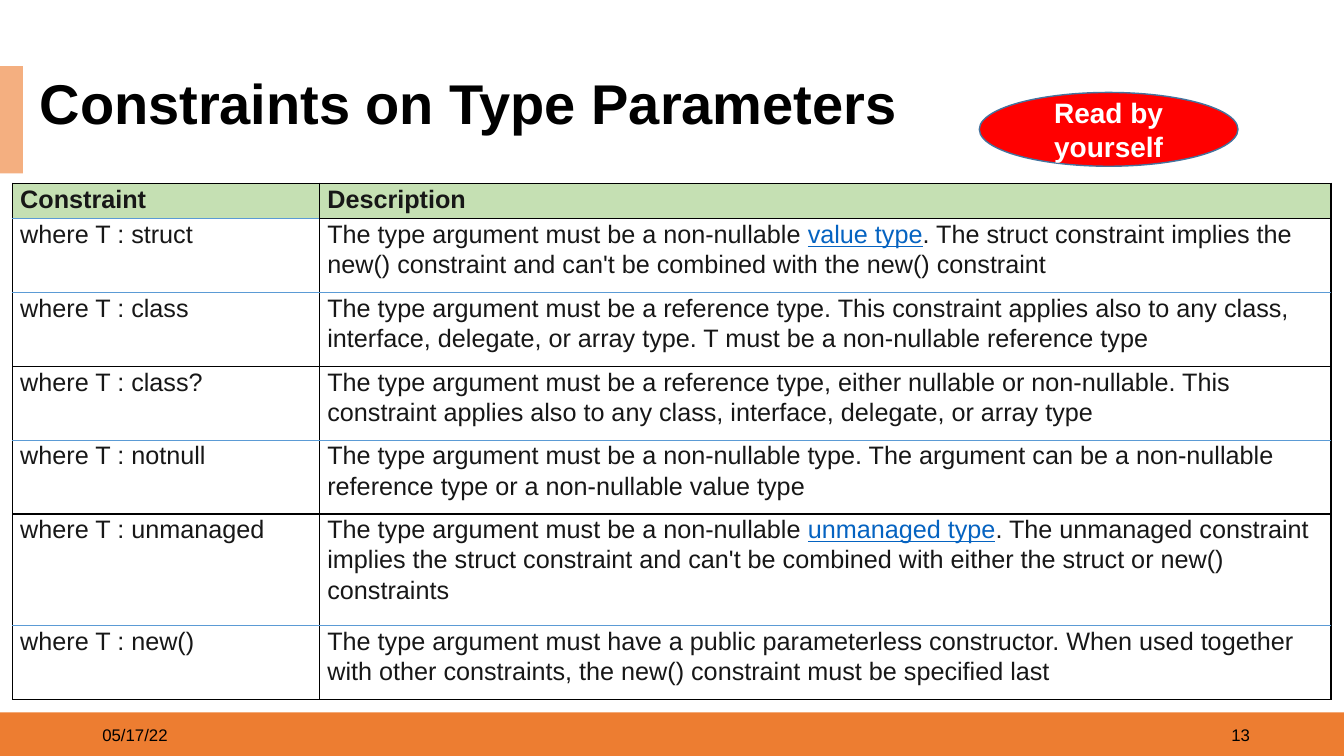
from lxml.etree import SubElement
from pptx import Presentation
from pptx.dml.color import RGBColor
from pptx.enum.shapes import MSO_SHAPE
from pptx.enum.text import MSO_ANCHOR, PP_ALIGN
from pptx.oxml.ns import qn
from pptx.util import Cm, Pt

# Content: a description is a list of pieces, every second one a link
TITLE = "Constraints on Type Parameters"
BADGE = "Read by yourself"
DATE, PAGE_NUMBER = "05/17/22", "13"
ROWS = [
    ("Constraint", ["Description"]),
    ("where T : struct", [
        "The type argument must be a non-nullable ", "value type",
        ". The struct constraint implies the new() constraint and can't be "
        "combined with the new() constraint"]),
    ("where T : class", [
        "The type argument must be a reference type. This constraint applies also to any "
        "class, interface, delegate, or array type. T must be a non-nullable reference type"]),
    ("where T : class?", [
        "The type argument must be a reference type, either nullable or non-nullable. This "
        "constraint applies also to any class, interface, delegate, or array type"]),
    ("where T : notnull", [
        "The type argument must be a non-nullable type. The argument can be a non-nullable "
        "reference type or a non-nullable value type"]),
    ("where T : unmanaged", [
        "The type argument must be a non-nullable ", "unmanaged type",
        ". The unmanaged constraint implies the struct constraint and can't be combined "
        "with either the struct or new() constraints"]),
    ("where T : new()", [
        "The type argument must have a public parameterless constructor. When used together "
        "with other constraints, the new() constraint must be specified last"]),
]
COLUMN_WIDTHS = (7.74, 25.48)
HEADER_HEIGHT, ROW_HEIGHT, TALL_HEIGHT = 0.89, 1.86, 2.81
TALL_ROW = 5

COLORS = {
    "bar": "ED7D31", "accent": "F4AF80", "badge": "FF0000", "badge line": "43739E",
    "header": "C5E0B3", "white": "FFFFFF", "black": "000000",
    "text": "171717", "link": "0563C1", "rule": "5B9BD5",
}


def color(name):
    return RGBColor.from_string(COLORS[name])


def style(span, size, name, bold=False, underline=False):
    span.font.name = "Arial"
    span.font.size = Pt(size)
    span.font.bold = bold
    span.font.underline = underline
    span.font.color.rgb = color(name)


def add_block(page, kind, place, fill, line=None):
    block = page.shapes.add_shape(kind, *map(Cm, place))
    block.shadow.inherit = False
    block.fill.solid()
    block.fill.fore_color.rgb = color(fill)
    if line:
        block.line.color.rgb = color(line)
        block.line.width = Pt(1)
    else:
        block.line.fill.background()
    return block


def write(box, text, size, name, align=PP_ALIGN.LEFT, bold=False):
    frame = box.text_frame
    frame.word_wrap = True
    frame.vertical_anchor = MSO_ANCHOR.MIDDLE
    frame.text = text
    para = frame.paragraphs[0]
    para.alignment = align
    style(para.runs[0], size, name, bold)
    return para


def set_borders(cell, top, bottom):
    properties = cell._tc.get_or_add_tcPr()
    sides = (("a:lnL", "black"), ("a:lnR", "black"), ("a:lnT", top), ("a:lnB", bottom))
    for position, (tag, name) in enumerate(sides):
        line = SubElement(properties, qn(tag), w=str(Pt(1)))
        fill = SubElement(line, qn("a:solidFill"))
        SubElement(fill, qn("a:srgbClr"), val=COLORS[name])
        properties.insert(position, line)


def edge_color(row, column):
    """Colour of the rule below a row; row -1 is the top of the table."""
    if row == 0:
        return ("rule", "black")[column]
    return "rule" if row % 2 and row > 0 else "black"


def fill_cell(cell, pieces, row, column):
    cell.margin_left = cell.margin_right = Cm(0.19)
    cell.margin_top = cell.margin_bottom = 0
    cell.fill.solid()
    cell.fill.fore_color.rgb = color("white" if row else "header")
    para = cell.text_frame.paragraphs[0]
    para.line_spacing = 1.07
    for index, piece in enumerate(pieces):
        span = para.add_run()
        span.text = piece
        linked = index % 2 == 1
        style(span, 18, "link" if linked else "text", row == 0, linked)
    set_borders(cell, edge_color(row - 1, column), edge_color(row, column))


def add_constraints(page):
    heights = [HEADER_HEIGHT] + [ROW_HEIGHT] * (len(ROWS) - 1)
    heights[TALL_ROW] = TALL_HEIGHT
    table = page.shapes.add_table(
        len(ROWS), len(COLUMN_WIDTHS), Cm(0.32), Cm(4.62),
        Cm(sum(COLUMN_WIDTHS)), Cm(sum(heights))).table
    table.first_row = table.horz_banding = False
    for column, width in enumerate(COLUMN_WIDTHS):
        table.columns[column].width = Cm(width)
    for row, (constraint, description) in enumerate(ROWS):
        table.rows[row].height = Cm(heights[row])
        for column, pieces in enumerate(([constraint], description)):
            fill_cell(table.cell(row, column), pieces, row, column)


def main():
    deck = Presentation()
    deck.slide_width, deck.slide_height = Cm(33.87), Cm(19.05)
    page = deck.slides.add_slide(deck.slide_layouts[6])

    # Footer bar and title accent
    add_block(page, MSO_SHAPE.RECTANGLE, (0, 17.95, 33.87, 1.1), "bar")
    add_block(page, MSO_SHAPE.RECTANGLE, (0, 1.67, 0.58, 2.7), "accent")

    # Date and page number
    for left, text, align in ((2.33, DATE, PP_ALIGN.LEFT),
                              (24.13, PAGE_NUMBER, PP_ALIGN.RIGHT)):
        box = page.shapes.add_textbox(Cm(left), Cm(18.01), Cm(7.62), Cm(1.02))
        write(box, text, 12, "black", align)

    # Table of constraints
    add_constraints(page)

    # Badge
    badge = add_block(page, MSO_SHAPE.OVAL, (24.68, 2.33, 6.52, 1.86), "badge", "badge line")
    write(badge, BADGE, 20, "white", PP_ALIGN.CENTER, bold=True)

    # Title
    title = page.shapes.add_textbox(Cm(0.75), Cm(2.03), Cm(23.37), Cm(1.4))
    title.fill.solid()
    title.fill.fore_color.rgb = color("white")
    write(title, TITLE, 40, "black", bold=True).line_spacing = 0.8

    deck.save("out.pptx")


if __name__ == "__main__":
    main()
